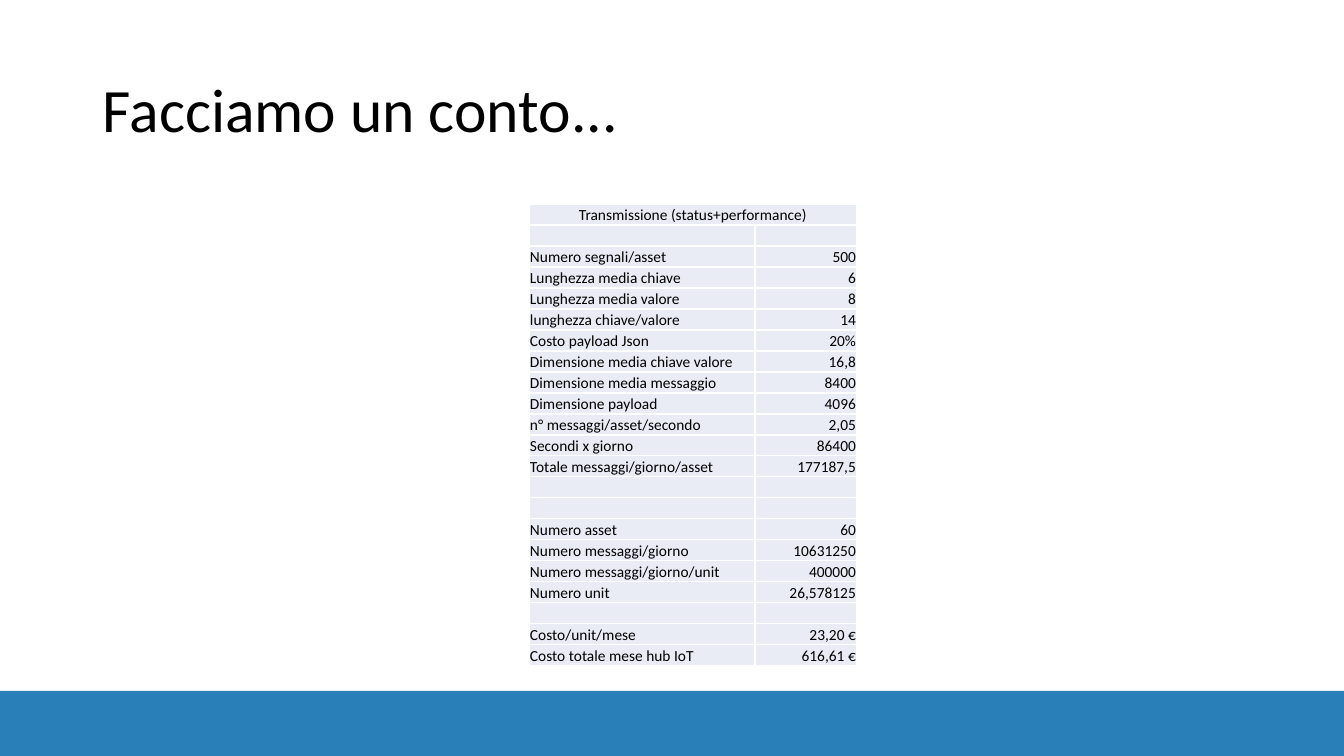
import pptx
import pptx.dml.color
import pptx.enum.shapes
import pptx.enum.text
import pptx.oxml
import pptx.oxml.ns
import pptx.util

EMU_PER_PX = 914400 / 100.8
SLIDE_WIDTH, SLIDE_HEIGHT = 1344, 756
ALIGN = pptx.enum.text.PP_ALIGN
ANCHOR = pptx.enum.text.MSO_ANCHOR
HEADING = "Transmissione (status+performance)"
ESTIMATE = [
    (HEADING, ""),
    ("", ""),
    ("Numero segnali/asset", "500"),
    ("Lunghezza media chiave", "6"),
    ("Lunghezza media valore", "8"),
    ("lunghezza chiave/valore", "14"),
    ("Costo payload Json", "20%"),
    ("Dimensione media chiave valore", "16,8"),
    ("Dimensione media messaggio", "8400"),
    ("Dimensione payload", "4096"),
    ("n° messaggi/asset/secondo", "2,05"),
    ("Secondi x giorno", "86400"),
    ("Totale messaggi/giorno/asset", "177187,5"),
    ("", ""),
    ("", ""),
    ("Numero asset", "60"),
    ("Numero messaggi/giorno", "10631250"),
    ("Numero messaggi/giorno/unit", "400000"),
    ("Numero unit", "26,578125"),
    ("", ""),
    ("Costo/unit/mese", "23,20 €"),
    ("Costo totale mese hub IoT", "616,61 €"),
]


def px(length):
    """Turn a length in px into EMU."""
    return pptx.util.Emu(round(length * EMU_PER_PX))


def colour(code):
    """Turn a hex string into a colour."""
    return pptx.dml.color.RGBColor.from_string(code)


def apply(target, formats):
    """Set each attribute named in formats on the target."""
    for attribute, value in formats.items():
        setattr(target, attribute, value)


def write(paragraph, words, size, align):
    """Write one run of black text, or size the empty line."""
    paragraph.alignment = align
    if words:
        run = paragraph.add_run()
        run.text = words
        apply(run.font, {"name": "Calibri", "size": pptx.util.Pt(size)})
        run.font.color.rgb = colour("000000")
    else:
        line_end = pptx.oxml.parse_xml(
            f'<a:endParaRPr {pptx.oxml.ns.nsdecls("a")} sz="{size * 100}"/>')
        paragraph._p.append(line_end)


def add_footer(slide, left, top, width, height):
    """Draw the blue band along the bottom."""
    band = slide.shapes.add_shape(
        pptx.enum.shapes.MSO_SHAPE.RECTANGLE, px(left), px(top), px(width), px(height))
    band.shadow.inherit = False
    band.fill.solid()
    band.fill.fore_color.rgb = colour("2980B9")
    band.line.fill.background()


def add_title(slide, left, top, width, height):
    """Place the slide title in its box."""
    title = slide.shapes.add_textbox(px(left), px(top), px(width), px(height)).text_frame
    apply(title, {"word_wrap": True, "vertical_anchor": ANCHOR.MIDDLE})
    title.paragraphs[0].line_spacing = 0.9
    write(title.paragraphs[0], "Facciamo un conto...", 44, ALIGN.LEFT)


def add_borders(cell):
    """Give a cell thin white lines on all four sides."""
    properties = cell._tc.get_or_add_tcPr()
    for position, side in enumerate(("lnL", "lnR", "lnT", "lnB")):
        properties.insert(position, pptx.oxml.parse_xml(
            f'<a:{side} {pptx.oxml.ns.nsdecls("a")} w="12700"><a:solidFill>'
            f'<a:srgbClr val="FFFFFF"/></a:solidFill></a:{side}>'))


def add_estimate(slide, left, top, width, height):
    """Fill the table of message volumes and costs."""
    table = slide.shapes.add_table(
        len(ESTIMATE), 2, px(left), px(top), px(width), px(height)).table
    apply(table, {"first_row": False, "horz_banding": False})
    value_width = 102
    for column, column_width in zip(table.columns, (width - value_width, value_width)):
        column.width = px(column_width)
    cell_format = {
        "vertical_anchor": ANCHOR.BOTTOM,
        "margin_left": px(1), "margin_right": px(1),
        "margin_top": px(1), "margin_bottom": px(0),
    }
    table.cell(0, 0).merge(table.cell(0, 1))
    for row, entry in enumerate(ESTIMATE):
        table.rows[row].height = px(height / len(ESTIMATE))
        for column, words in enumerate(entry):
            cell = table.cell(row, column)
            apply(cell, cell_format)
            cell.fill.solid()
            cell.fill.fore_color.rgb = colour("E9EBF5")
            add_borders(cell)
            align = ALIGN.CENTER if row == 0 else (ALIGN.LEFT, ALIGN.RIGHT)[column]
            write(cell.text_frame.paragraphs[0], words, 11, align)


def main():
    """Build and save the slide."""
    presentation = pptx.Presentation()
    apply(presentation, {"slide_width": px(SLIDE_WIDTH), "slide_height": px(SLIDE_HEIGHT)})
    slide = presentation.slides.add_slide(presentation.slide_layouts[6])
    footer_height = 65
    add_footer(slide, 0, SLIDE_HEIGHT - footer_height, SLIDE_WIDTH, footer_height)
    add_title(slide, 93, 40, 1159, 146)
    add_estimate(slide, 529, 204, 328, 462)
    presentation.save("out.pptx")


if __name__ == "__main__":
    main()
